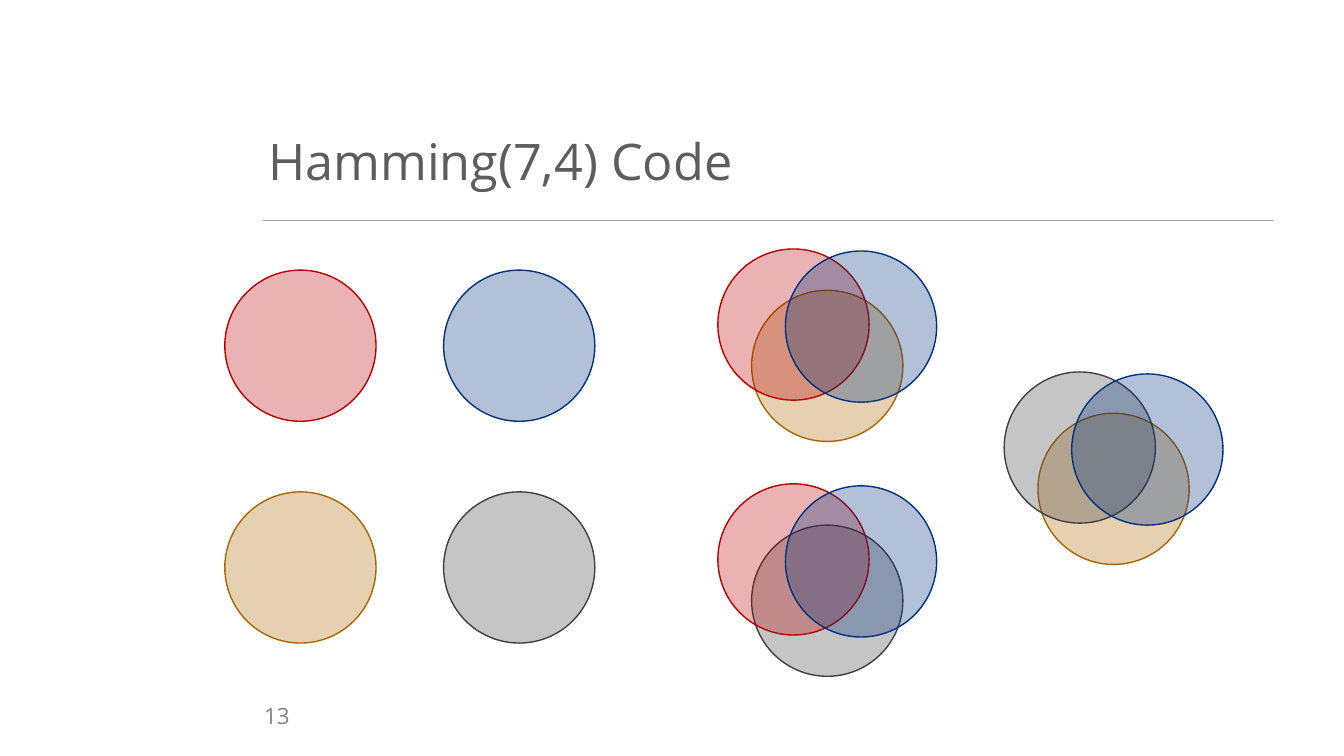
"""Build the Hamming(7,4) Code slide with single circles and three Venn diagrams."""
from lxml.etree import SubElement
from pptx import Presentation
from pptx.dml.color import RGBColor
from pptx.enum.shapes import MSO_CONNECTOR, MSO_SHAPE
from pptx.enum.text import MSO_ANCHOR
from pptx.oxml.ns import qn
from pptx.util import Inches, Pt

THEME = {
    "font": "Open Sans",
    "title": {"size": Pt(36), "color": "5D5D5D"},
    "number": {"size": Pt(16), "color": "838383"},
    "rule": "A6A6A6",
    "red": "BB0000",
    "blue": "00337F",
    "orange": "AA6600",
    "gray": "404040",
    "line_width": Pt(1),
    "opacity": 30,
}
DIAMETER = 1.5


def add_text(slide, text, box, style, line_spacing):
    shape = slide.shapes.add_textbox(*map(Inches, box))
    frame = shape.text_frame
    margins = {f"margin_{side}": Inches(0.05) for side in ("left", "top", "right", "bottom")}
    frame_format = {"word_wrap": True, "vertical_anchor": MSO_ANCHOR.MIDDLE, **margins}
    for name, value in frame_format.items():
        setattr(frame, name, value)
    paragraph = frame.paragraphs[0]
    paragraph.line_spacing = line_spacing
    run = paragraph.add_run()
    run.text = text
    for name, value in {"name": THEME["font"], "size": style["size"]}.items():
        setattr(run.font, name, value)
    run.font.color.rgb = RGBColor.from_string(style["color"])


def add_circle(slide, left, top, color_name):
    color = RGBColor.from_string(THEME[color_name])
    circle = slide.shapes.add_shape(
        MSO_SHAPE.OVAL, Inches(left), Inches(top), Inches(DIAMETER), Inches(DIAMETER)
    )
    circle.shadow.inherit = False
    circle.fill.solid()
    circle.fill.fore_color.rgb = color
    circle.line.color.rgb = color
    circle.line.width = THEME["line_width"]
    fill_color = circle.fill._xPr.find(qn("a:solidFill"))[0]
    SubElement(fill_color, qn("a:alpha"), val=str(THEME["opacity"] * 1000))


presentation = Presentation()
presentation.slide_width = Inches(13.33)
presentation.slide_height = Inches(7.5)
slide = presentation.slides.add_slide(presentation.slide_layouts[6])

rule = slide.shapes.add_connector(
    MSO_CONNECTOR.STRAIGHT, Inches(2.61), Inches(2.19), Inches(12.64), Inches(2.19)
)
rule.line.color.rgb = RGBColor.from_string(THEME["rule"])
rule.line.width = THEME["line_width"]
SubElement(rule._element.spPr, qn("a:effectLst"))

add_text(slide, "Hamming(7,4) Code", (2.61, 1.27, 6.43, 0.71), THEME["title"], 0.9)
add_text(slide, "13", (2.57, 6.91, 0.38, 0.37), THEME["number"], 1.0)

single_circles = [["red", "blue"], ["orange", "gray"]]
for row, color_names in enumerate(single_circles):
    for column, color_name in enumerate(color_names):
        add_circle(slide, 2.23 + 2.17 * column, 2.68 + 2.2 * row, color_name)

venn_offsets = [(0.335, 0.41), (0, 0), (0.67, 0.02)]
venn_diagrams = [
    (7.12, 2.47, ("orange", "red", "blue")),
    (7.12, 4.8, ("gray", "red", "blue")),
    (9.96, 3.69, ("orange", "gray", "blue")),
]
for left, top, color_names in venn_diagrams:
    for (offset_x, offset_y), color_name in zip(venn_offsets, color_names):
        add_circle(slide, left + offset_x, top + offset_y, color_name)

presentation.save("out.pptx")
